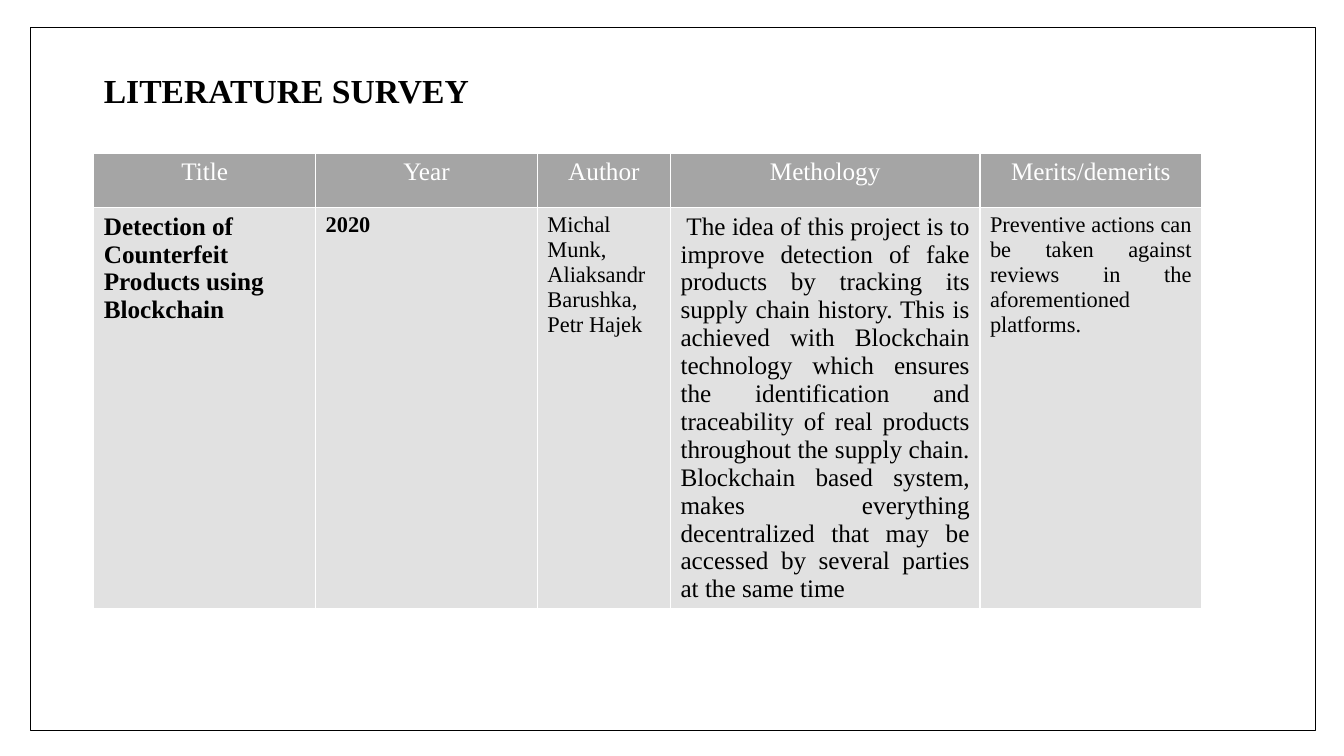
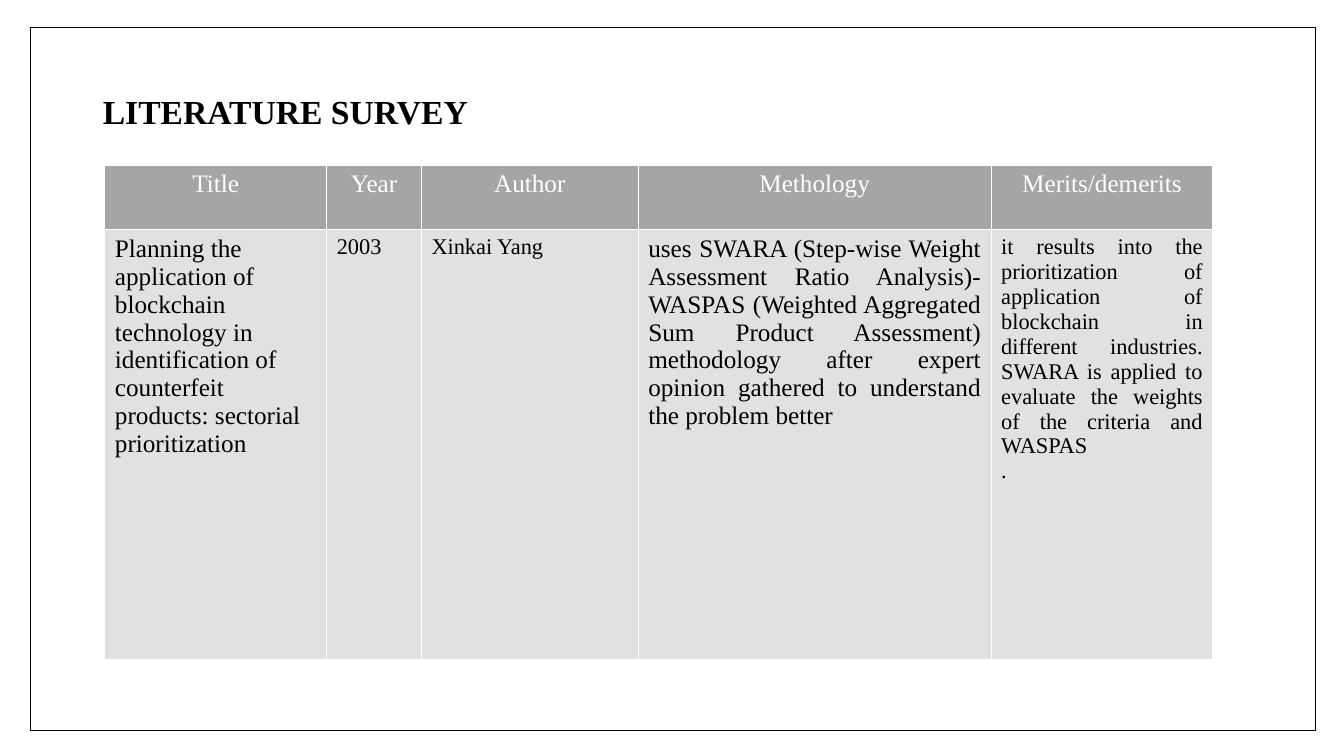
from dataclasses import dataclass

from lxml import etree
from pptx import Presentation
from pptx import util as u
from pptx.dml import color
from pptx.enum import shapes, text
from pptx.oxml import ns

FONT = "Times New Roman"
COLORS = {"ink": "000000", "paper": "FFFFFF", "header": "A5A5A5", "body": "E1E1E1"}
HEADERS = ("Title", "Year", "Author", "Methology", "Merits/demerits")
LEFT, CENTER, JUSTIFY = text.PP_ALIGN.LEFT, text.PP_ALIGN.CENTER, text.PP_ALIGN.JUSTIFY


@dataclass(frozen=True)
class Entry:
    paragraphs: tuple[str, ...]
    size: int = 16
    bold: bool = False
    alignment: text.PP_ALIGN = JUSTIFY
    color: str = "ink"


@dataclass(frozen=True)
class Survey:
    title_position: tuple[float, float]
    table_position: tuple[float, float]
    column_widths: tuple[float, ...]
    row_heights: tuple[float, float]
    entries: tuple[Entry, ...]


SURVEYS = (
    Survey(
        (0.93, 0.19), (0.93, 1.52), (2.2, 2.2, 1.32, 3.07, 2.2), (0.54, 3.97),
        (
            Entry(("Detection of Counterfeit Products using Blockchain",), 18, True, LEFT),
            Entry(("2020",), bold=True),
            Entry(("Michal Munk, Aliaksandr Barushka, Petr Hajek",)),
            Entry((
                " The idea of this project is to improve detection of fake products by "
                "tracking its supply chain history. This is achieved with Blockchain "
                "technology which ensures the identification and traceability of real "
                "products throughout the supply chain. Blockchain based system, makes "
                "everything decentralized that may be accessed by several parties at "
                "the same time",
            ), 18),
            Entry((
                "Preventive actions can be taken against reviews in the "
                "aforementioned platforms.",
            )),
        ),
    ),
    Survey(
        (0.92, 0.4), (1.04, 1.64), (2.2, 0.94, 2.15, 3.5, 2.2), (0.64, 4.26),
        (
            Entry((
                "Planning the application of blockchain technology in identification "
                "of counterfeit products: sectorial prioritization",
            ), 18, alignment=LEFT),
            Entry(("2003",)),
            Entry(("Xinkai Yang",), alignment=LEFT),
            Entry((
                "uses SWARA (Step-wise Weight Assessment Ratio Analysis)-WASPAS "
                "(Weighted Aggregated Sum Product Assessment) methodology after expert "
                "opinion gathered to understand the problem better",
            ), 18),
            Entry((
                "it results into the prioritization of application of blockchain in "
                "different industries. SWARA is applied to evaluate the weights of the "
                "criteria and WASPAS",
                ".",
            )),
        ),
    ),
)


def rgb(name: str) -> color.RGBColor:
    return color.RGBColor.from_string(COLORS[name])


def write_entry(frame, entry: Entry) -> None:
    """Fill a text frame with the paragraphs of an entry."""
    font_format = {"name": FONT, "size": u.Pt(entry.size), "bold": entry.bold}
    for index, wording in enumerate(entry.paragraphs):
        paragraph = frame.add_paragraph() if index else frame.paragraphs[0]
        paragraph.alignment = entry.alignment
        run = paragraph.add_run()
        run.text = wording
        for attribute, value in font_format.items():
            setattr(run.font, attribute, value)
        run.font.color.rgb = rgb(entry.color)


def add_borders(cell) -> None:
    """Draw a thin white line on each side of a cell."""
    properties = cell._tc.get_or_add_tcPr()
    for side in ("lnL", "lnR", "lnT", "lnB"):
        line = etree.SubElement(properties, ns.qn(f"a:{side}"), w=str(u.Pt(1)))
        fill = etree.SubElement(line, ns.qn("a:solidFill"))
        etree.SubElement(fill, ns.qn("a:srgbClr"), val=COLORS["paper"])


def add_title(slide, position: tuple[float, float]) -> None:
    title = slide.shapes.title
    left, top = position
    box = {"left": left, "top": top, "width": 11.5, "height": 1.45}
    for attribute, value in box.items():
        setattr(title, attribute, u.Inches(value))
    frame = title.text_frame
    frame_format = {
        "word_wrap": True,
        "auto_size": text.MSO_AUTO_SIZE.NONE,
        "vertical_anchor": text.MSO_ANCHOR.MIDDLE,
    }
    for attribute, value in frame_format.items():
        setattr(frame, attribute, value)
    write_entry(frame, Entry(("LITERATURE SURVEY",), 24, True, LEFT))
    frame.paragraphs[0].line_spacing = 0.9


def add_survey_table(slide, survey: Survey) -> None:
    header = tuple(Entry((name,), 18, alignment=CENTER, color="paper") for name in HEADERS)
    sizes = (sum(survey.column_widths), sum(survey.row_heights))
    table = slide.shapes.add_table(
        2, len(HEADERS), *map(u.Inches, survey.table_position + sizes)
    ).table
    table.horz_banding = False
    for column, width in zip(table.columns, survey.column_widths):
        column.width = u.Inches(width)
    rows = zip(table.rows, survey.row_heights, (header, survey.entries), ("header", "body"))
    for row, height, entries, fill in rows:
        row.height = u.Inches(height)
        for cell, entry in zip(row.cells, entries):
            add_borders(cell)
            cell.fill.solid()
            cell.fill.fore_color.rgb = rgb(fill)
            write_entry(cell.text_frame, entry)


def add_frame(slide) -> None:
    shape = slide.shapes.add_shape(
        shapes.MSO_SHAPE.RECTANGLE, *map(u.Inches, (0.3, 0.27, 12.75, 6.98))
    )
    shape.shadow.inherit = False
    shape.fill.background()
    shape.line.color.rgb = rgb("ink")
    shape.line.width = u.Pt(1)


def main() -> None:
    presentation = Presentation()
    presentation.slide_width = u.Inches(13.33)
    presentation.slide_height = u.Inches(7.5)
    title_only = presentation.slide_layouts[5]
    for survey in SURVEYS:
        slide = presentation.slides.add_slide(title_only)
        add_title(slide, survey.title_position)
        add_survey_table(slide, survey)
        add_frame(slide)
    presentation.save("out.pptx")


if __name__ == "__main__":
    main()
